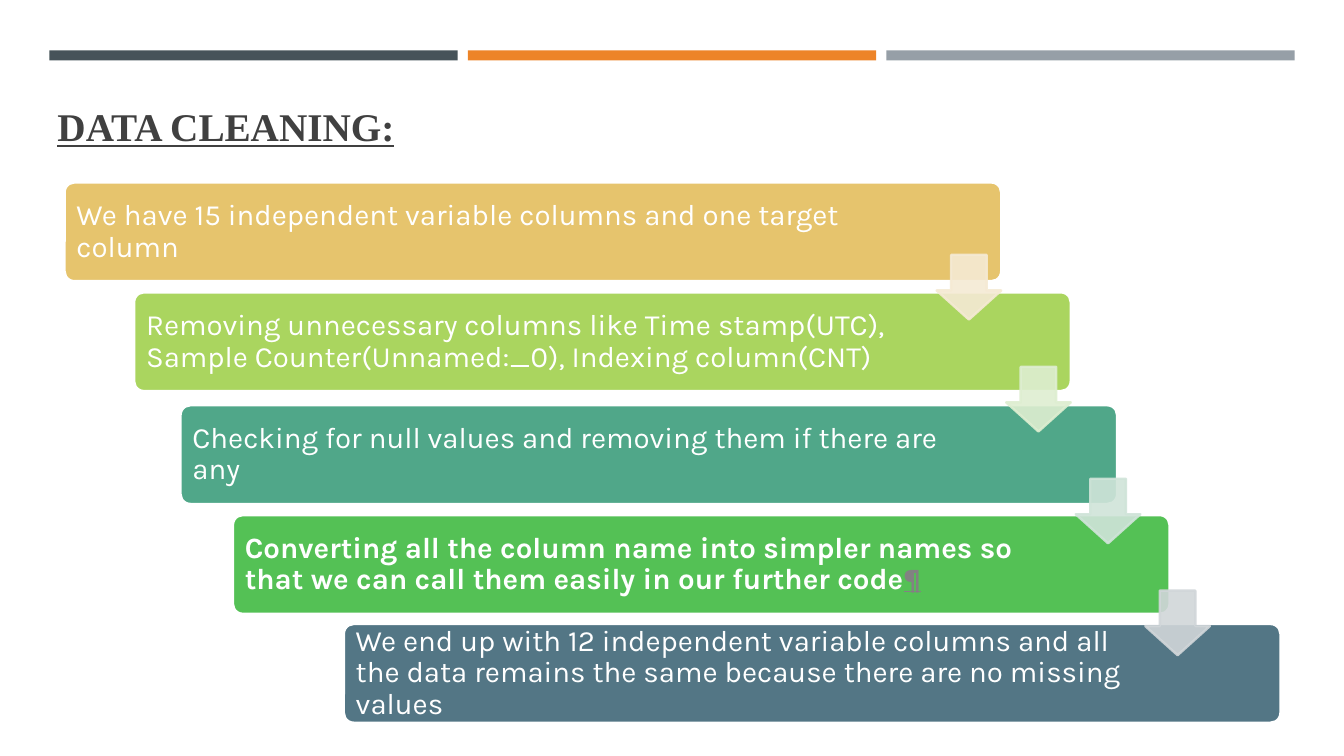
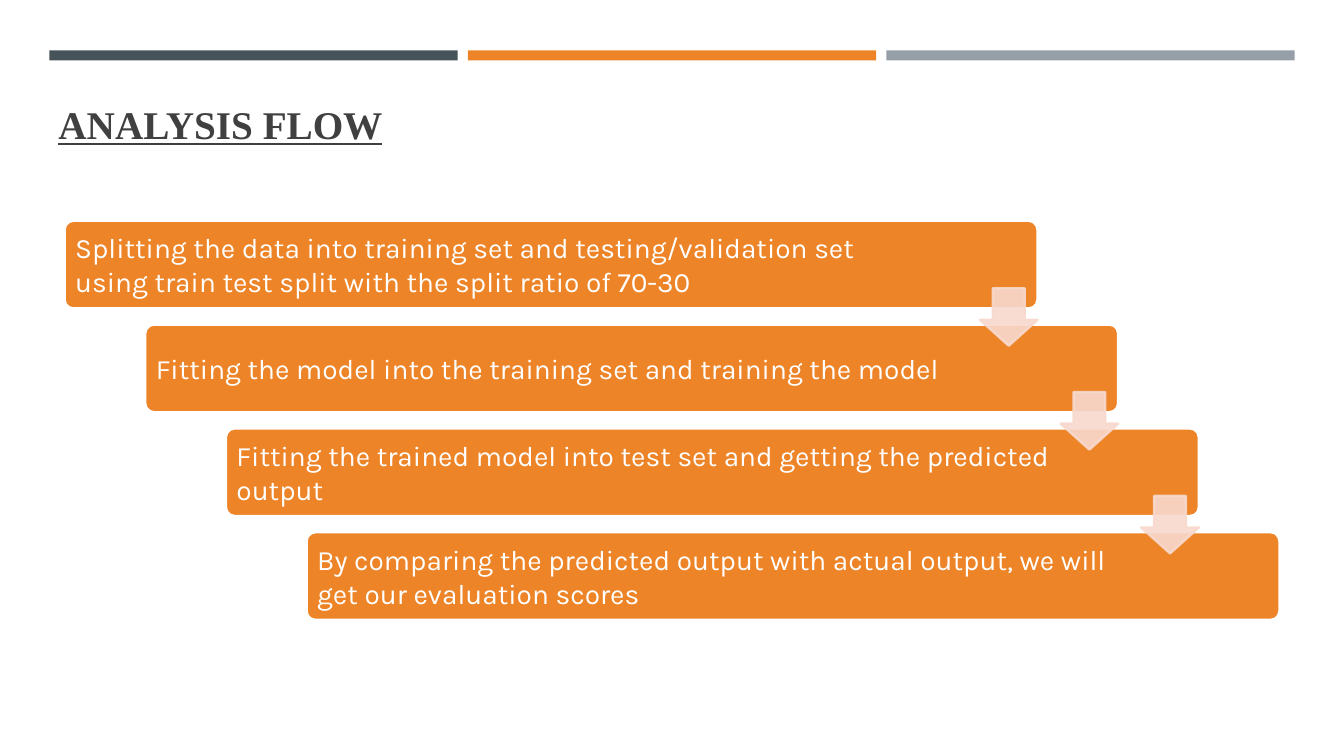
from lxml import etree
from pptx import Presentation
from pptx.dml.color import RGBColor
from pptx.enum import shapes, text
from pptx.oxml import ns
from pptx.util import Inches, Pt

TITLE_FONT = "Times New Roman"
BODY_FONT = "Karla"
WHITE = RGBColor(0xFF, 0xFF, 0xFF)
TITLE_GRAY = RGBColor(0x40, 0x40, 0x40)
MARK_GRAY = RGBColor(0x82, 0x82, 0x82)
SLATE = RGBColor(0x46, 0x53, 0x59)
ORANGE = RGBColor(0xED, 0x84, 0x28)
SILVER = RGBColor(0x96, 0x9F, 0xA7)
GOLD = RGBColor(0xE6, 0xC4, 0x6D)
LIME = RGBColor(0xAA, 0xD5, 0x5F)
TEAL = RGBColor(0x50, 0xA7, 0x89)
GREEN = RGBColor(0x54, 0xC1, 0x55)
BLUE = RGBColor(0x53, 0x76, 0x85)
PALE_GOLD = RGBColor(0xF5, 0xEA, 0xD4)
PALE_LIME = RGBColor(0xDE, 0xEE, 0xD1)
PALE_TEAL = RGBColor(0xD0, 0xE4, 0xD9)
PALE_BLUE = RGBColor(0xD1, 0xD6, 0xD9)
PALE_ORANGE = RGBColor(0xF8, 0xD9, 0xCD)

CLEANING_STEPS = [
    (0.64, 1.81, GOLD, "We have 15 independent variable columns and one target column"),
    (1.33, 2.9, LIME, "Removing unnecessary columns like Time stamp(UTC), "
                      "Sample Counter(Unnamed:_0), Indexing column(CNT)"),
    (1.79, 4.02, TEAL, "Checking for null values and removing them if there are any"),
    (2.31, 5.11, GREEN, "Converting all the column name into simpler names so "
                        "that we can call them easily in our further code"),
    (3.41, 6.19, BLUE, "We end up with 12 independent variable columns and all the data "
                       "remains the same because there are no missing values"),
]
CLEANING_ARROWS = [PALE_GOLD, PALE_LIME, PALE_TEAL, PALE_BLUE]
FLOW_STEPS = [
    "Splitting the data into training set and testing/validation set "
    "using train test split with the split ratio of 70-30",
    "Fitting the model into the training set and training the model",
    "Fitting the trained model into test set and getting the predicted output",
    "By comparing the predicted output with actual output, we will get our evaluation scores",
]


def add_block(slide, kind, left, top, width, height, fill, line=None):
    """Add a filled preset shape, outlined only when a line colour is given."""
    shape = slide.shapes.add_shape(
        kind, Inches(left), Inches(top), Inches(width), Inches(height))
    shape.shadow.inherit = False
    shape.fill.solid()
    shape.fill.fore_color.rgb = fill
    if line is None:
        shape.line.fill.background()
    else:
        shape.line.color.rgb = line
        shape.line.width = Pt(1.75)
    return shape


def add_run(paragraph, words, font=BODY_FONT, size=20, color=WHITE, bold=False, underline=False):
    """Add a run of formatted text to a paragraph."""
    run = paragraph.add_run()
    run.text = words
    run.font.name = font
    run.font.size = Pt(size)
    run.font.color.rgb = color
    run.font.bold = bold
    run.font.underline = underline


def add_bands(slide):
    """Place the three top bands on the layout, so every slide shows them."""
    tree = slide.slide_layout.shapes.element
    for index, color in enumerate((SLATE, ORANGE, SILVER)):
        band = add_block(slide, shapes.MSO_SHAPE.RECTANGLE,
                         0.49 + 4.15 * index, 0.5, 4.05, 0.1, color)
        tree.insert(2 + index, band.element)


def set_title(slide, words, left, top, height):
    """Position the title placeholder and write its underlined heading."""
    title = slide.shapes.title
    title.left, title.top = Inches(left), Inches(top)
    title.width, title.height = Inches(12.06), Inches(height)
    frame = title.text_frame
    frame.vertical_anchor = text.MSO_ANCHOR.BOTTOM
    frame.auto_size = text.MSO_AUTO_SIZE.NONE
    paragraph = frame.paragraphs[0]
    paragraph.alignment = text.PP_ALIGN.LEFT
    add_run(paragraph, words, font=TITLE_FONT, size=28, color=TITLE_GRAY,
            bold=True, underline=True)


def add_step(slide, words, left, top, width, height, fill, inset, spacing=1.0, **style):
    """Add a rounded step box with room for an arrow at its right, return its paragraph."""
    box = add_block(slide, shapes.MSO_SHAPE.ROUNDED_RECTANGLE,
                    left, top, width, height, fill, line=WHITE)
    box.adjustments[0] = 0.1
    frame = box.text_frame
    frame.word_wrap = True
    frame.vertical_anchor = text.MSO_ANCHOR.MIDDLE
    frame.margin_left = frame.margin_top = frame.margin_bottom = Inches(inset)
    frame.margin_right = Inches(1.43)
    paragraph = frame.paragraphs[0]
    paragraph.alignment = text.PP_ALIGN.LEFT
    paragraph.line_spacing = spacing
    add_run(paragraph, words, **style)
    return paragraph


def add_arrow(slide, left, top, size, color):
    """Add a slightly transparent down arrow."""
    arrow = add_block(slide, shapes.MSO_SHAPE.DOWN_ARROW, left, top, size, size, color, line=color)
    arrow.adjustments[0] = 0.45
    arrow.adjustments[1] = 0.45
    arrow.adjustments[0] = 0.55
    for color_element in arrow.element.spPr.iter(ns.qn("a:srgbClr")):
        etree.SubElement(color_element, ns.qn("a:alpha"), val="90000")


def build_cleaning(slide):
    """Fill the data cleaning slide."""
    set_title(slide, "DATA CLEANING:", 0.47, 0.55, 0.98)
    for left, top, color, words in CLEANING_STEPS:
        bold = color == GREEN
        paragraph = add_step(slide, words, left, top, 9.29, 0.98, color, 0.09,
                             spacing=0.9, size=21, bold=bold)
        if bold:
            add_run(paragraph, "¶", size=21, color=MARK_GRAY, bold=True, underline=True)
    for index, color in enumerate(CLEANING_ARROWS):
        add_arrow(slide, 9.29 + 0.69 * index, 2.53 + 1.11 * index, 0.64, color)


def build_flow(slide):
    """Fill the analysis flow slide."""
    set_title(slide, "ANALYSIS FLOW", 0.48, 0.21, 1.3)
    for index, words in enumerate(FLOW_STEPS):
        add_step(slide, words, 0.64 + 0.8 * index, 2.19 + 1.03 * index, 9.65, 0.87, ORANGE, 0.08)
    for index in range(len(FLOW_STEPS) - 1):
        add_arrow(slide, 9.72 + 0.8 * index, 2.86 + 1.03 * index, 0.57, PALE_ORANGE)


def main():
    """Build and save the presentation."""
    presentation = Presentation()
    presentation.slide_width, presentation.slide_height = Inches(13.33), Inches(7.5)
    layout = presentation.slide_layouts[5]
    cleaning, flow = (presentation.slides.add_slide(layout) for _ in range(2))
    add_bands(cleaning)
    build_cleaning(cleaning)
    build_flow(flow)
    presentation.save("out.pptx")


if __name__ == "__main__":
    main()
